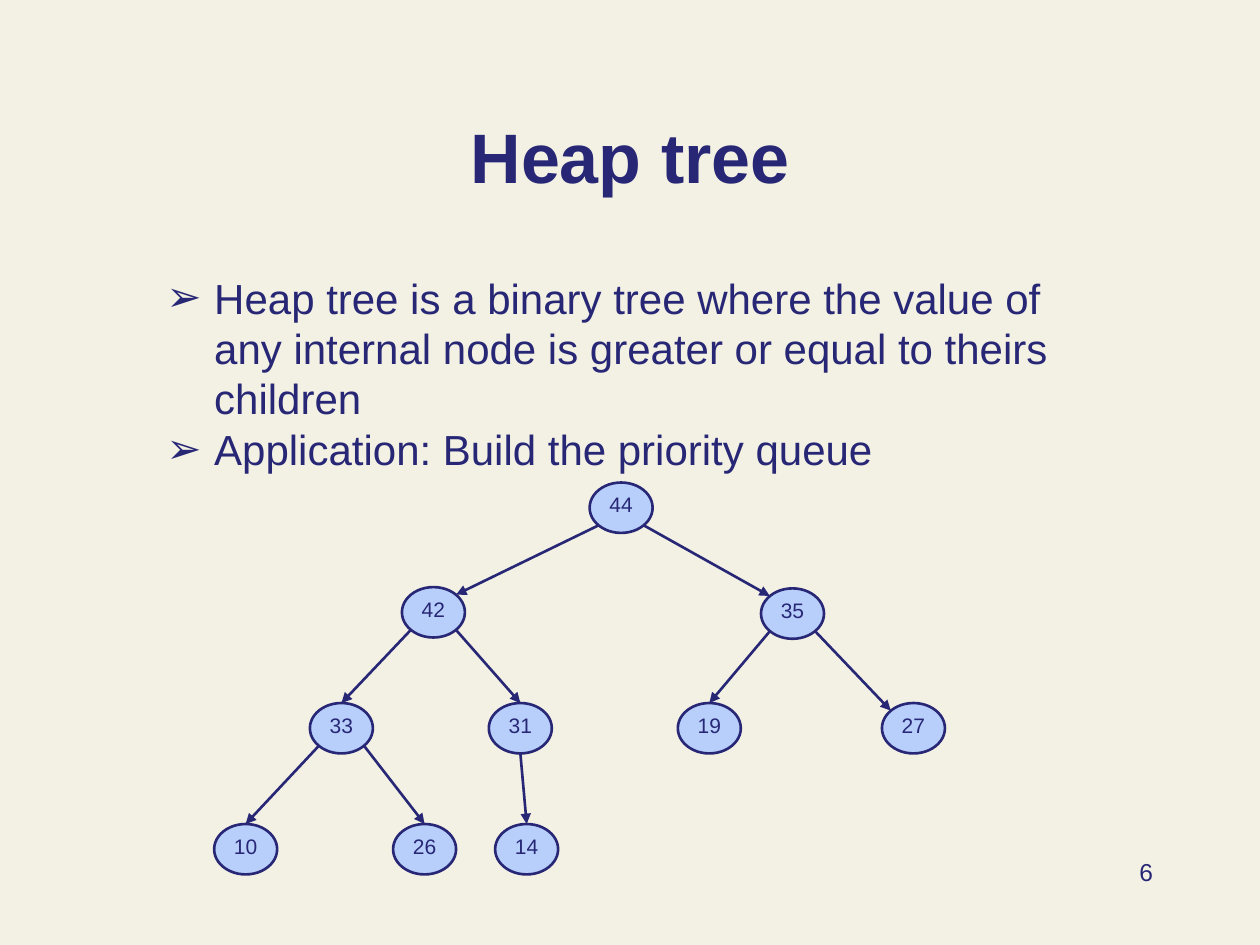
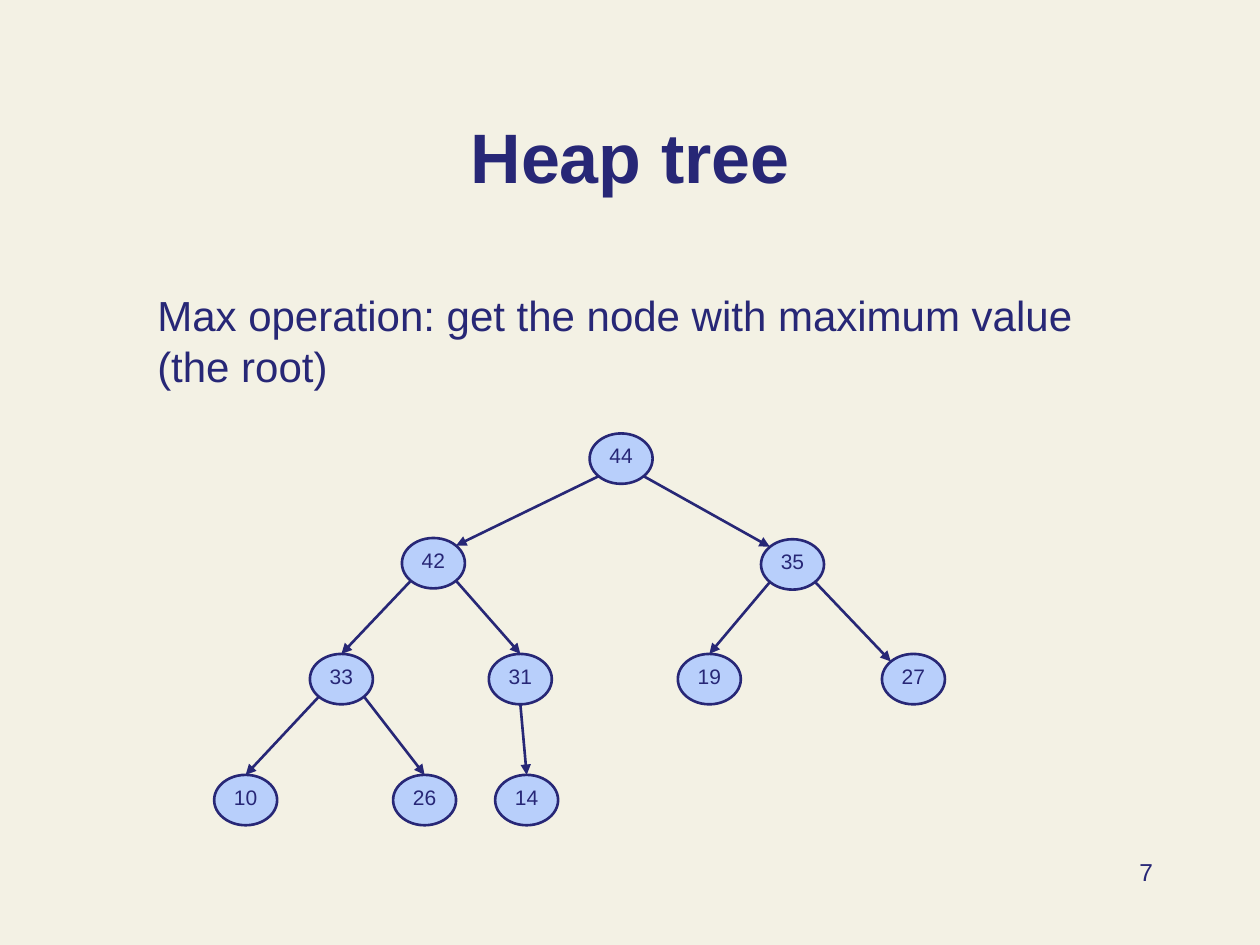
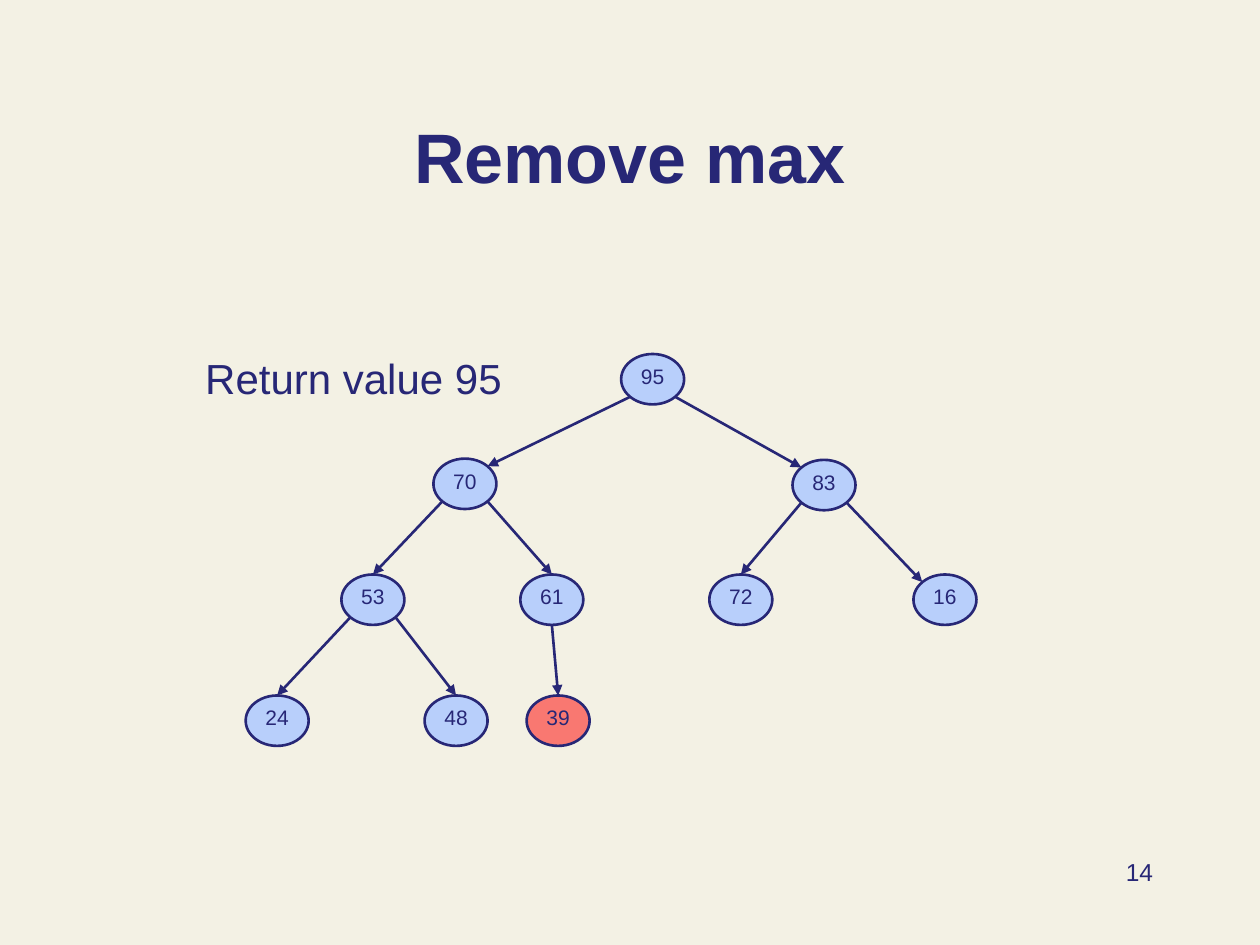
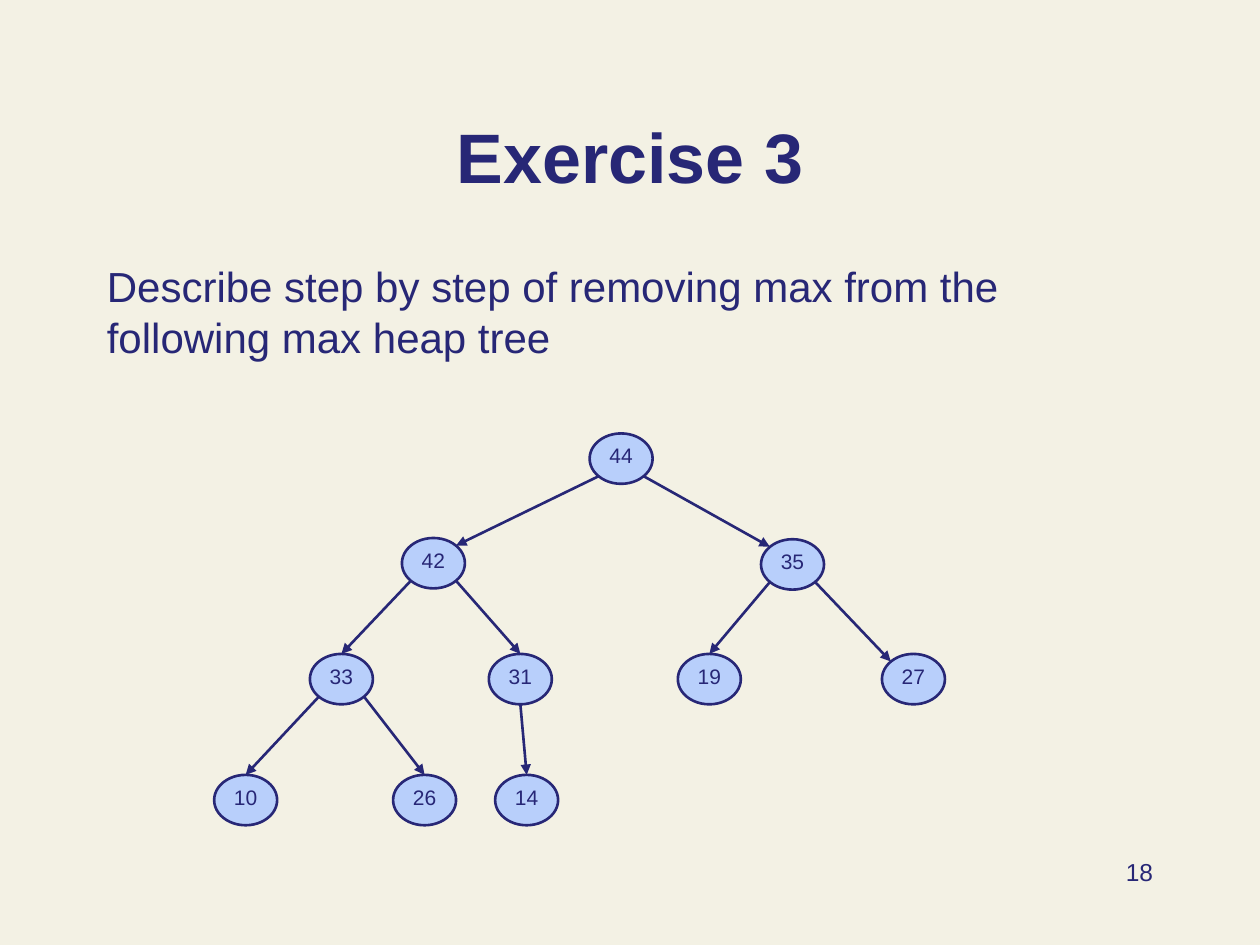
from lxml import etree
from pptx import Presentation
from pptx.dml.color import RGBColor
from pptx.enum.shapes import MSO_CONNECTOR, MSO_SHAPE
from pptx.enum.text import MSO_ANCHOR, MSO_AUTO_SIZE, PP_ALIGN
from pptx.oxml.ns import qn
from pptx.util import Inches, Pt

OVAL = MSO_SHAPE.OVAL
STRAIGHT = MSO_CONNECTOR.STRAIGHT
TOP, MIDDLE, BOTTOM = MSO_ANCHOR.TOP, MSO_ANCHOR.MIDDLE, MSO_ANCHOR.BOTTOM
NO_AUTOFIT = MSO_AUTO_SIZE.NONE
LEFT, CENTER, RIGHT = PP_ALIGN.LEFT, PP_ALIGN.CENTER, PP_ALIGN.RIGHT

CREAM = RGBColor(0xF3, 0xF1, 0xE4)
NAVY = RGBColor(0x27, 0x27, 0x76)
LIGHT_BLUE = RGBColor(0xB8, 0xCF, 0xFB)
RED = RGBColor(0xFF, 0x00, 0x00)

FONT = "Arial"
BODY_LINE = Pt(28.8)
BULLET_INDENT = Inches(0.38)

LAYOUT_LIST, LAYOUT_TITLE_ONLY = 1, 5

TITLE_BOX = (0.75, 0.54, 8.5, 1.08)
NUMBER_BOX = (7.17, 6.75, 2.08, 0.5)

NODE_WIDTH, NODE_HEIGHT = 0.5, 0.4
# Node positions relative to the root, in heap array order
NODE_OFFSETS = [
    (0, 0),
    (-1.49, 0.83), (1.36, 0.84),
    (-2.22, 1.75), (-0.8, 1.75), (0.7, 1.75), (2.32, 1.75),
    (-2.98, 2.71), (-1.56, 2.71), (-0.75, 2.71),
]
# Points on a node's outline, relative to its left top corner
UPPER, LOWER = (0.25, 0), (0.25, 0.4)
UPPER_LEFT, UPPER_RIGHT = (0.07, 0.06), (0.43, 0.06)
LOWER_LEFT, LOWER_RIGHT = (0.07, 0.34), (0.43, 0.34)
# Edges that differ from the usual lower corner to upper point, by child
START_POINTS = {9: LOWER}
END_POINTS = {1: UPPER_RIGHT, 2: UPPER_LEFT, 6: UPPER_LEFT}

EXAMPLE_HEAP = [44, 42, 35, 33, 31, 19, 27, 10, 26, 14]
REMOVAL_HEAP = [95, 70, 83, 53, 61, 72, 16, 24, 48, 39]


def box_inches(box):
    return [Inches(length) for length in box]


def write_text(frame, text, size=24, bold=False, align=LEFT, anchor=TOP,
               line_spacing=None, bullet=None, margins=(0.1, 0.05, 0.1, 0.05), wrap=True):
    """Fill a text frame, one paragraph for each line of text."""
    frame.text = text
    frame.auto_size = NO_AUTOFIT
    frame.word_wrap = wrap
    frame.vertical_anchor = anchor
    (frame.margin_left, frame.margin_top,
     frame.margin_right, frame.margin_bottom) = box_inches(margins)
    for paragraph in frame.paragraphs:
        paragraph.alignment = align
        paragraph.space_before = Pt(0)
        if line_spacing:
            paragraph.line_spacing = line_spacing
        if bullet:
            add_bullet(paragraph, bullet)
        font = paragraph.runs[0].font
        font.name, font.size, font.bold = FONT, Pt(size), bold
        font.color.rgb = NAVY


def add_bullet(paragraph, character):
    properties = paragraph._p.get_or_add_pPr()
    properties.set("marL", str(BULLET_INDENT))
    properties.set("indent", str(-BULLET_INDENT))
    color = etree.SubElement(properties, qn("a:buClr"))
    etree.SubElement(color, qn("a:srgbClr"), val=str(NAVY))
    etree.SubElement(properties, qn("a:buFont"), typeface=FONT)
    etree.SubElement(properties, qn("a:buChar"), char=character)


class Deck:
    def __init__(self):
        self.presentation = Presentation()
        self.presentation.slide_width = Inches(10)
        self.presentation.slide_height = Inches(7.5)
        background = self.presentation.slide_master.background.fill
        background.solid()
        background.fore_color.rgb = CREAM
        self.slide = None

    def add_slide(self, title, number, layout=LAYOUT_TITLE_ONLY):
        self.slide = self.presentation.slides.add_slide(
            self.presentation.slide_layouts[layout])
        self.fill_placeholder(0, title, TITLE_BOX, size=40, bold=True,
                              align=CENTER, anchor=BOTTOM)
        self.add_text(str(number), NUMBER_BOX, size=14, align=RIGHT)

    def fill_placeholder(self, index, text, box, **text_format):
        shape = self.slide.placeholders[index]
        shape.left, shape.top, shape.width, shape.height = box_inches(box)
        write_text(shape.text_frame, text, **text_format)

    def add_list(self, items, box):
        self.fill_placeholder(1, "\n".join(items), box,
                              line_spacing=BODY_LINE, bullet="➢")

    def add_text(self, text, box, **text_format):
        shape = self.slide.shapes.add_textbox(*box_inches(box))
        write_text(shape.text_frame, text, **text_format)

    def add_node(self, value, left, top, marked=False):
        shape = self.slide.shapes.add_shape(
            OVAL, *box_inches((left, top, NODE_WIDTH, NODE_HEIGHT)))
        shape.shadow.inherit = False
        shape.fill.solid()
        shape.fill.fore_color.rgb = RED if marked else LIGHT_BLUE
        if marked:
            color = shape._element.spPr.find(f".//{qn('a:srgbClr')}")
            etree.SubElement(color, qn("a:alpha"), val="50000")
        shape.line.color.rgb = NAVY
        shape.line.width = Pt(1.5)
        write_text(shape.text_frame, str(value), size=12, align=CENTER,
                   anchor=MIDDLE, margins=(0, 0, 0, 0.05), wrap=False)

    def add_arrow(self, start, end):
        connector = self.slide.shapes.add_connector(
            STRAIGHT, *box_inches((*start, *end)))
        connector.line.color.rgb = NAVY
        connector.line.width = Pt(1.5)
        etree.SubElement(connector.line._get_or_add_ln(), qn("a:tailEnd"), type="triangle")
        etree.SubElement(connector._element.spPr, qn("a:effectLst"))

    def add_heap(self, values, left, top, marked=None):
        """Draw a heap, given in array order, with its root at left, top."""
        corners = [(left + x, top + y) for x, y in NODE_OFFSETS]
        for value, corner in zip(values, corners):
            self.add_node(value, *corner, marked=value == marked)
        for child in range(1, len(values)):
            parent_x, parent_y = corners[(child - 1) // 2]
            child_x, child_y = corners[child]
            usual_start = LOWER_LEFT if child % 2 else LOWER_RIGHT
            start_x, start_y = START_POINTS.get(child, usual_start)
            end_x, end_y = END_POINTS.get(child, UPPER)
            self.add_arrow((parent_x + start_x, parent_y + start_y),
                           (child_x + end_x, child_y + end_y))


def main():
    deck = Deck()

    deck.add_slide("Heap tree", 6, LAYOUT_LIST)
    deck.add_list([
        "Heap tree is a binary tree where the value of any internal node "
        "is greater or equal to theirs children",
        "Application: Build the priority queue",
    ], (1.22, 2.11, 7.56, 1.72))
    deck.add_heap(EXAMPLE_HEAP, 4.68, 3.83)

    deck.add_slide("Heap tree", 7)
    deck.add_text("Max operation: get the node with maximum value (the root)",
                  (1.15, 2.25, 7.56, 0.91), line_spacing=BODY_LINE)
    deck.add_heap(EXAMPLE_HEAP, 4.68, 3.44)

    deck.add_slide("Remove max", 14)
    deck.add_heap(REMOVAL_HEAP, 4.93, 2.81, marked=39)
    deck.add_text("Return value 95", (1.53, 2.75, 2.58, 0.5), line_spacing=BODY_LINE)

    deck.add_slide("Exercise 3", 18)
    deck.add_text("Describe step by step of removing max from the following max heap tree",
                  (0.75, 2.02, 8.27, 0.91), line_spacing=BODY_LINE)
    deck.add_heap(EXAMPLE_HEAP, 4.68, 3.44)

    deck.presentation.save("out.pptx")


if __name__ == "__main__":
    main()
